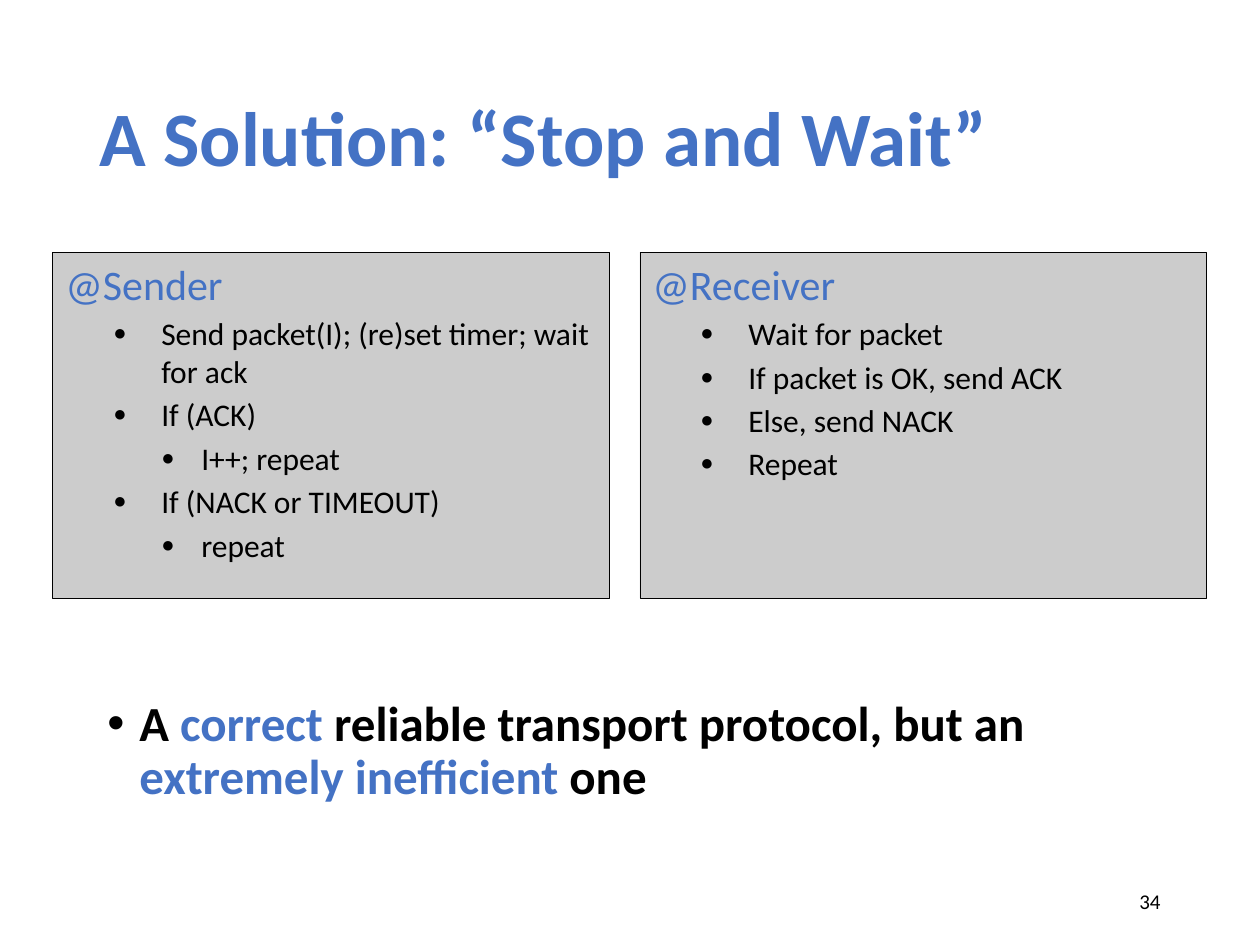
from lxml import etree
from pptx import Presentation
from pptx.dml.color import RGBColor
from pptx.enum.shapes import MSO_SHAPE
from pptx.enum.text import MSO_ANCHOR, PP_ALIGN
from pptx.oxml.ns import qn
from pptx.util import Emu, Pt

RECT = MSO_SHAPE.RECTANGLE
TOP, MIDDLE = MSO_ANCHOR.TOP, MSO_ANCHOR.MIDDLE
LEFT, RIGHT = PP_ALIGN.LEFT, PP_ALIGN.RIGHT
BLUE = RGBColor(0x44, 0x72, 0xC4)
BLACK = RGBColor(0, 0, 0)
GREY = RGBColor(0xCC, 0xCC, 0xCC)
FONT = "Calibri"
PX = 914400 / 126

# Content
TITLE = "A Solution: “Stop and Wait”"
PANEL_TOP, PANEL_HEIGHT = 252, 346
PANELS = [  # left, width, heading, (level, step)
    (53, 557, "@Sender", [
        (1, "Send packet(I); (re)set timer; wait for ack"),
        (1, "If (ACK)"),
        (2, "I++; repeat"),
        (1, "If (NACK or TIMEOUT)"),
        (2, "repeat"),
    ]),
    (640, 567, "@Receiver", [
        (1, "Wait for packet"),
        (1, "If packet is OK, send ACK"),
        (1, "Else, send NACK"),
        (1, "Repeat"),
    ]),
]
STEP_INDENTS = {1: (96, 48), 2: (136, 40)}  # text margin, hanging
CONCLUSION = [
    ("A ", BLACK),
    ("correct ", BLUE),
    ("reliable transport protocol, but an ", BLACK),
    ("extremely inefficient ", BLUE),
    ("one", BLACK),
]
PAGE = "34"


def px(n):
    return Emu(round(n * PX))


def add_text_box(x, y, w, h, anchor=TOP):
    tf = s.shapes.add_textbox(px(x), px(y), px(w), px(h)).text_frame
    tf.word_wrap = True
    tf.vertical_anchor = anchor
    return tf


def style(p, size, color=None, bold=False, before=0, align=LEFT):
    p.font.name, p.font.size, p.font.bold = FONT, Pt(size), bold
    if color is not None:
        p.font.color.rgb = color
    p.space_before = Pt(before)
    p.alignment = align


def add_bullet(p, char, margin, hanging, percent=100):
    pPr = p._p.get_or_add_pPr()
    pPr.set("marL", str(px(margin)))
    pPr.set("indent", str(-px(hanging)))
    bullet = [
        etree.Element(qn("a:buClr")),
        etree.Element(qn("a:buSzPct"), val=str(percent * 1000)),
        etree.Element(qn("a:buFont"), typeface="Arial"),
        etree.Element(qn("a:buChar"), char=char),
    ]
    etree.SubElement(bullet[0], qn("a:srgbClr"), val=str(BLACK))
    defaults = pPr.find(qn("a:defRPr"))
    for element in bullet:
        defaults.addprevious(element)


prs = Presentation()
prs.slide_width, prs.slide_height = px(1260), px(945)
s = prs.slides.add_slide(prs.slide_layouts[6])

# Title
p = add_text_box(87, 50, 1086, 183, MIDDLE).paragraphs[0]
p.text = TITLE
style(p, 44, BLUE, bold=True)
p.line_spacing = 0.9

# Conclusion
p = add_text_box(95, 693, 1113, 136).paragraphs[0]
for text, color in CONCLUSION:
    r = p.add_run()
    r.text = text
    r.font.color.rgb = color
style(p, 28, bold=True, before=10)
p.line_spacing = 0.9
add_bullet(p, "•", 32, 32)

# Sender and receiver panels
for left, width, heading, steps in PANELS:
    sp = s.shapes.add_shape(RECT, px(left), px(PANEL_TOP), px(width), px(PANEL_HEIGHT))
    sp.shadow.inherit = False
    sp.fill.solid()
    sp.fill.fore_color.rgb = GREY
    sp.line.color.rgb = BLACK
    sp.line.width = Pt(0.5)
    tf = sp.text_frame
    tf.word_wrap = True
    tf.vertical_anchor = TOP
    p = tf.paragraphs[0]
    p.text = heading
    style(p, 24, BLUE, before=4.3)
    for level, step in steps:
        p = tf.add_paragraph()
        p.text, p.level = step, level
        style(p, 18, BLACK, before=3.2)
        add_bullet(p, "●", *STEP_INDENTS[level], percent=70)

# Page number
p = add_text_box(890, 876, 283, 50, MIDDLE).paragraphs[0]
p.text = PAGE
style(p, 12, BLACK, align=RIGHT)

prs.save("out.pptx")
